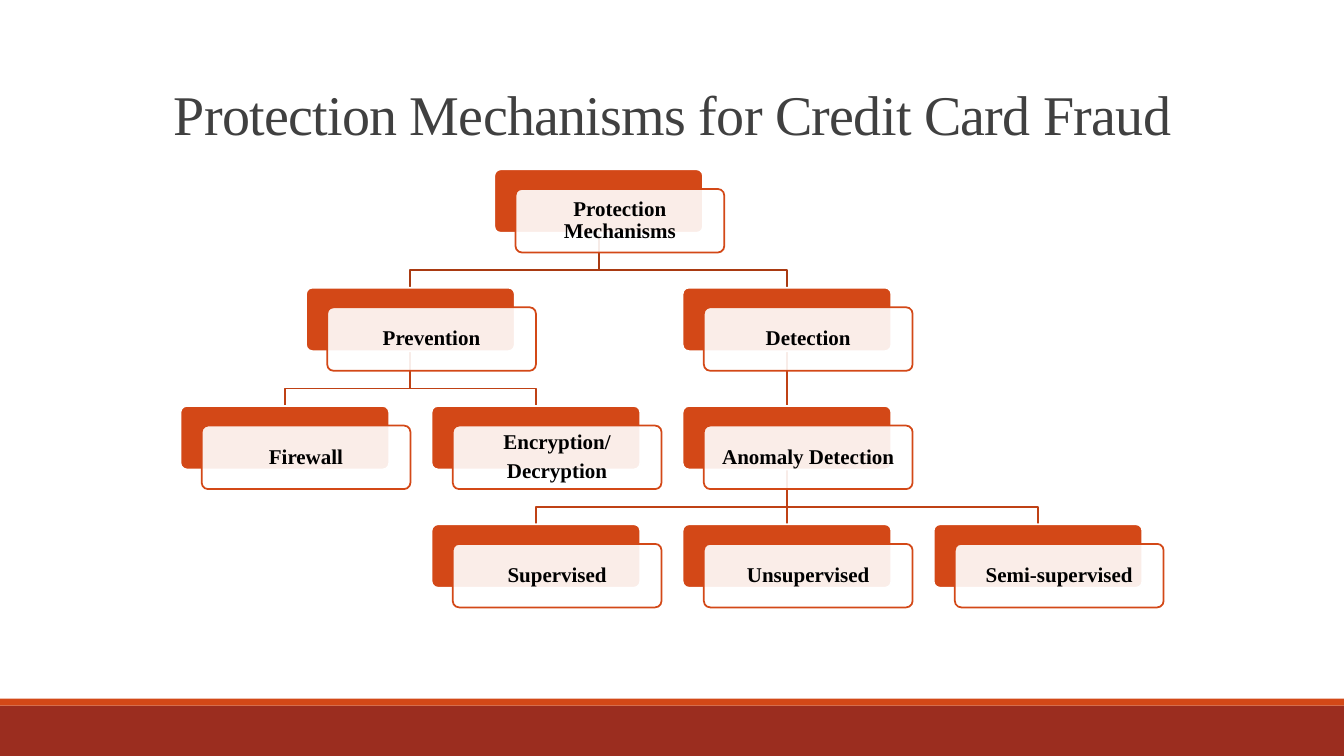
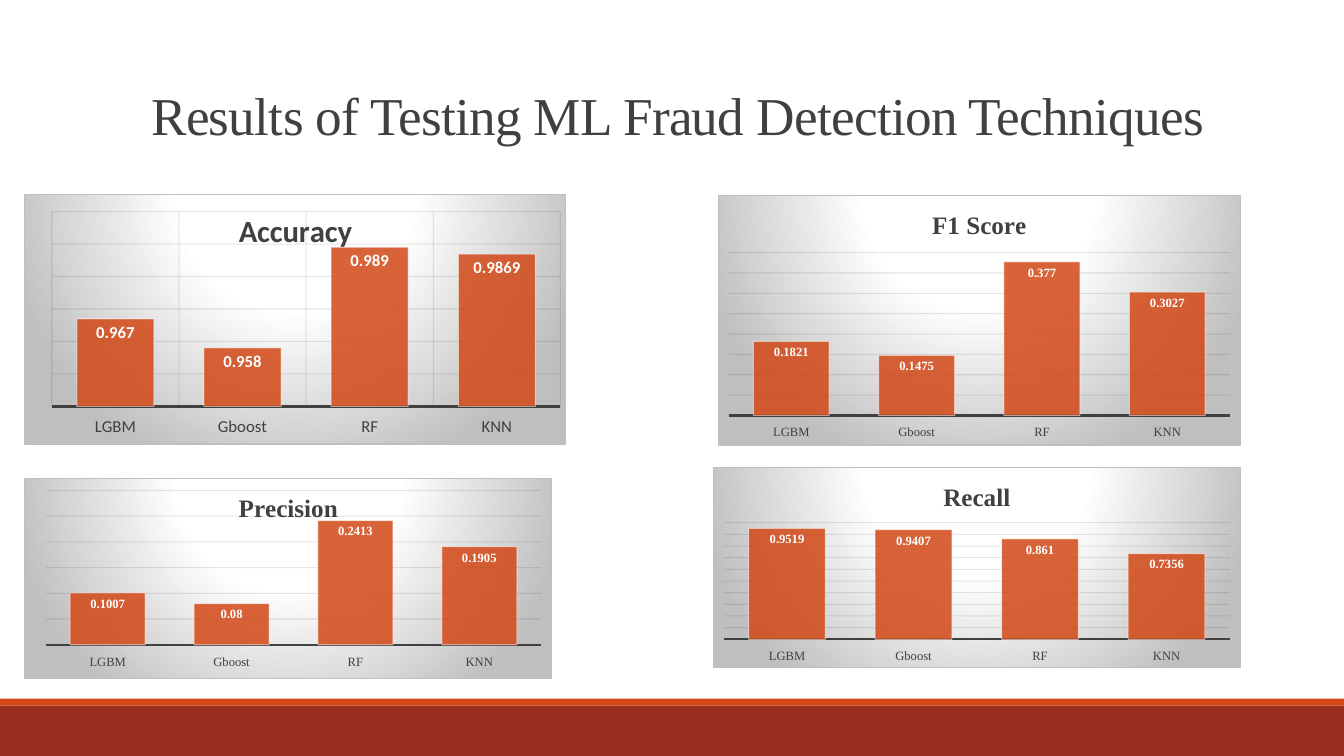
from dataclasses import dataclass

from lxml.etree import SubElement
from pptx import Presentation
from pptx.chart.data import CategoryChartData as ChartData
from pptx.dml.color import RGBColor as Rgb
from pptx.enum.chart import XL_CHART_TYPE as Kind
from pptx.enum.chart import XL_LABEL_POSITION as Spot
from pptx.enum.chart import XL_TICK_LABEL_POSITION as Label
from pptx.enum.chart import XL_TICK_MARK as Tick
from pptx.enum.shapes import MSO_CONNECTOR as Wire
from pptx.enum.shapes import MSO_SHAPE as Shape
from pptx.enum.text import MSO_ANCHOR as Anchor
from pptx.enum.text import MSO_AUTO_SIZE as Fit
from pptx.enum.text import PP_ALIGN as Align
from pptx.oxml import parse_xml
from pptx.oxml.ns import nsdecls, qn
from pptx.util import Inches, Pt

WIDE, HIGH = Inches(13.33), Inches(7.5)


@dataclass(frozen=True)
class Theme:
    serif: str = "Times New Roman"
    sans: str = "Calibri"
    rust: str = "D34817"
    brick: str = "9B2D1F"
    stem: str = "A93A12"
    branch: str = "BF4115"
    dark: str = "404040"
    grid: str = "0D0D0D"
    edge: str = "BFBFBF"
    white: str = "FFFFFF"
    black: str = "000000"
    node: float = 15
    thin: float = 0.75
    line: float = 1.25
    axis: float = 1.5


T = Theme()


@dataclass(frozen=True)
class Tree:
    """Grid of the chart of boxes, in percent of the slide."""
    left: float = 13.43
    top: float = 22.4
    col: float = 18.68
    row: float = 15.65
    wide: float = 15.53
    high: float = 8.4
    right: float = 1.58
    down: float = 2.6
    bend: float = 0.68

    def place(self, col, row):
        return self.left + col * self.col, self.top + row * self.row


G = Tree()

# Text, column, row, index of parent
NODES = [
    ("Protection Mechanisms", 1.25, 0, None),
    ("Prevention", 0.5, 1, 0),
    ("Detection", 2, 1, 0),
    ("Firewall", 0, 2, 1),
    ("Encryption/\nDecryption", 1, 2, 1),
    ("Anomaly Detection", 2, 2, 2),
    ("Supervised", 1, 3, 5),
    ("Unsupervised", 2, 3, 5),
    ("Semi-supervised", 3, 3, 5),
]

MODELS = ["LGBM", "Gboost", "RF", "KNN"]
SMALL = dict(face=T.serif, head=18, text=9)
LARGE = dict(face=T.sans, head=22, text=12, cross=True)

# Name, area in percent, values, scale (low, high, step), style, inner plot
CHARTS = [
    ("Accuracy", (1.8, 25.6, 40.35, 33.2), (0.967, 0.958, 0.989, 0.9869),
     (0.94, 1, 0.01), LARGE, (0.05, 0.07, 0.94, 0.78)),
    ("F1 Score", (53.4, 25.73, 38.93, 33.2), (0.1821, 0.1475, 0.377, 0.3027),
     (0, 0.4, 0.05), SMALL, None),
    ("Recall", (53.03, 61.73, 39.3, 26.67), (0.9519, 0.9407, 0.861, 0.7356),
     (0, 1, 0.1), SMALL, None),
    ("Precision", (1.8, 63.2, 39.3, 26.67), (0.1007, 0.08, 0.2413, 0.1905),
     (0, 0.3, 0.05), SMALL, (0.04, 0.06, 0.94, 0.77)),
]


# Helpers
def area(x, y, w, h):
    """Turn percent of the slide into lengths."""
    return [round(part * side / 100)
            for part, side in zip((x, y, w, h), (WIDE, HIGH) * 2)]


def put(thing, **form):
    for key, value in form.items():
        setattr(thing, key, value)


def pen(font, size, color, face, bold=False):
    put(font, size=Pt(size), name=face, bold=bold)
    font.color.rgb = Rgb.from_string(color)


def fade(part, share):
    """Make the first colour inside the part see-through."""
    color = next(part.iter(qn("a:srgbClr")))
    SubElement(color, qn("a:alpha")).set("val", str(share * 1000))


def ink(fill, color):
    fill.solid()
    fill.fore_color.rgb = Rgb.from_string(color)


def rule(line, color, width):
    ink(line.fill, color)
    line.width = Pt(width)


def block(slide, kind, spot, color, edge=None):
    shape = slide.shapes.add_shape(kind, *area(*spot))
    shape.shadow.inherit = False
    ink(shape.fill, color)
    if edge:
        rule(shape.line, edge, T.line)
    else:
        shape.line.fill.background()
    return shape


def bands(slide, layout):
    """Put the two foot bands on the layout."""
    for num, (top, high, color) in enumerate(
            [(93.33, 6.67, T.brick), (92.4, 0.93, T.rust)]):
        band = block(slide, Shape.RECTANGLE, (0, top, 100, high), color)
        band.element.nvSpPr.cNvPr.set("id", str(20 + num))
        layout.shapes.element.insert(2 + num, band.element)


def title(slide, text, spot, size, align):
    head = slide.shapes.title
    left, top, width, height = area(*spot)
    put(head, left=left, top=top, width=width, height=height)
    frame = head.text_frame
    put(frame, text=text, word_wrap=True, auto_size=Fit.NONE,
        vertical_anchor=Anchor.BOTTOM)
    para = frame.paragraphs[0]
    put(para, alignment=align, line_spacing=0.85)
    run = para.runs[0]
    pen(run.font, size, T.dark, T.serif)
    run.font._element.set("spc", "-50")


# Tree of boxes
def node(slide, text, col, row):
    x, y = G.place(col, row)
    back = block(slide, Shape.ROUNDED_RECTANGLE,
                 (x, y, G.wide, G.high), T.rust, T.white)
    card = block(slide, Shape.ROUNDED_RECTANGLE,
                 (x + G.right, y + G.down, G.wide, G.high), T.white, T.rust)
    fade(card.element.spPr, 90)
    for shape in (back, card):
        shape.adjustments[0] = 0.1
    frame = card.text_frame
    gap = Inches(0.06)
    put(frame, text=text, word_wrap=True, vertical_anchor=Anchor.MIDDLE,
        margin_left=gap, margin_right=gap, margin_top=gap, margin_bottom=gap)
    for para in frame.paragraphs:
        put(para, alignment=Align.CENTER, line_spacing=0.9, space_after=Pt(5))
        pen(para.runs[0].font, T.node, T.black, T.serif, True)
    return back


def link(slide, top, low, color):
    """Join two boxes, straight down or with a bend, behind all else."""
    x, y = top.left + top.width // 2, top.top + top.height
    end, foot = low.left + low.width // 2, low.top
    if x == end:
        line = slide.shapes.add_connector(Wire.STRAIGHT, x, y, end, foot)
        line.begin_connect(top, 2)
        line.end_connect(low, 0)
        rule(line.line, color, T.line)
        SubElement(line.element.spPr, qn("a:effectLst"))
    else:
        turn = round(y + (foot - y) * G.bend)
        path = slide.shapes.build_freeform(x, y)
        path.add_line_segments([(x, turn), (end, turn), (end, foot)],
                               close=False)
        line = path.convert_to_shape()
        line.shadow.inherit = False
        line.fill.background()
        rule(line.line, color, T.line)
    slide.shapes.element.insert(2, line.element)


def tree(slide):
    boxes = [node(slide, text, col, row) for text, col, row, _ in NODES]
    for box, (_, _, row, top) in zip(boxes, NODES):
        if top is not None:
            link(slide, boxes[top], box, T.stem if row == 1 else T.branch)


# Charts
def panel(chart):
    """Give the chart a round fade and a thin border."""
    stops = "".join(
        f'<a:gs pos="{pos}000"><a:srgbClr val="{color}"/></a:gs>'
        for pos, color in [(0, T.white), (39, T.white), (100, T.edge)])
    chart.element.find(qn("c:chart")).addnext(parse_xml(
        f'<c:spPr {nsdecls("c", "a")}><a:gradFill><a:gsLst>{stops}</a:gsLst>'
        '<a:path path="circle"><a:fillToRect l="50000" t="-80000" r="50000" '
        f'b="180000"/></a:path></a:gradFill><a:ln w="{Pt(T.thin)}"><a:solidFill>'
        f'<a:srgbClr val="{T.edge}"/></a:solidFill></a:ln></c:spPr>'))


def inner(chart, spot):
    """Fix the inner plot area, in shares of the chart."""
    plot = chart.element.find(".//" + qn("c:plotArea"))
    old = plot.find(qn("c:layout"))
    if old is not None:
        plot.remove(old)
    parts = [("layoutTarget", "inner"), ("xMode", "edge"), ("yMode", "edge"),
             *zip("xywh", spot)]
    body = "".join(f'<c:{tag} val="{value}"/>' for tag, value in parts)
    plot.insert(0, parse_xml(f'<c:layout {nsdecls("c")}><c:manualLayout>{body}'
                             '</c:manualLayout></c:layout>'))


def mesh(axis):
    axis.has_major_gridlines = True
    line = axis.major_gridlines.format.line
    rule(line, T.grid, T.thin)
    fade(axis.major_gridlines._xAx.find(qn("c:majorGridlines")), 10)


def bars(slide, name, spot, values, scale, style, plot):
    data = ChartData()
    data.categories = MODELS
    data.add_series(name, values)
    chart = slide.shapes.add_chart(
        Kind.COLUMN_CLUSTERED, *area(*spot), data).chart
    face = style["face"]
    pen(chart.font, 10, T.black, face)
    put(chart, has_legend=False, has_title=True)
    frame = chart.chart_title.text_frame
    frame.text = name
    pen(frame.paragraphs[0].runs[0].font, style["head"], T.dark, face, True)

    base, side = chart.category_axis, chart.value_axis
    put(base, major_tick_mark=Tick.NONE, tick_label_position=Label.LOW)
    pen(base.tick_labels.font, style["text"], T.dark, face)
    rule(base.format.line, T.dark, T.axis)
    low, high, step = scale
    put(side, minimum_scale=low, maximum_scale=high, major_unit=step,
        visible=False)
    mesh(side)
    if style.get("cross"):
        mesh(base)

    put(chart.plots[0], gap_width=65, vary_by_categories=False)
    row = chart.plots[0].series[0]
    ink(row.format.fill, T.rust)
    rule(row.format.line, T.white, T.thin)
    form = row._element.find(qn("c:spPr"))
    fade(form, 85)
    fade(form.find(qn("a:ln")), 50)
    tags = row.data_labels
    put(tags, show_value=True, position=Spot.INSIDE_END)
    pen(tags.font, style["text"], T.white, face, True)
    panel(chart)
    if plot:
        inner(chart, plot)


def main():
    deck = Presentation()
    put(deck, slide_width=WIDE, slide_height=HIGH)
    layout = deck.slide_layouts[5]

    # Protection tree
    slide = deck.slides.add_slide(layout)
    bands(slide, layout)
    title(slide, "Protection Mechanisms for Credit Card Fraud",
          (8.78, 9.6, 82.5, 10.53), 40, Align.CENTER)
    tree(slide)

    # Test results
    slide = deck.slides.add_slide(layout)
    title(slide, "Results of Testing ML Fraud Detection Techniques",
          (10.5, -1.2, 89.5, 21.2), 38, Align.LEFT)
    for chart in CHARTS:
        bars(slide, *chart)
    deck.save("out.pptx")


if __name__ == "__main__":
    main()
